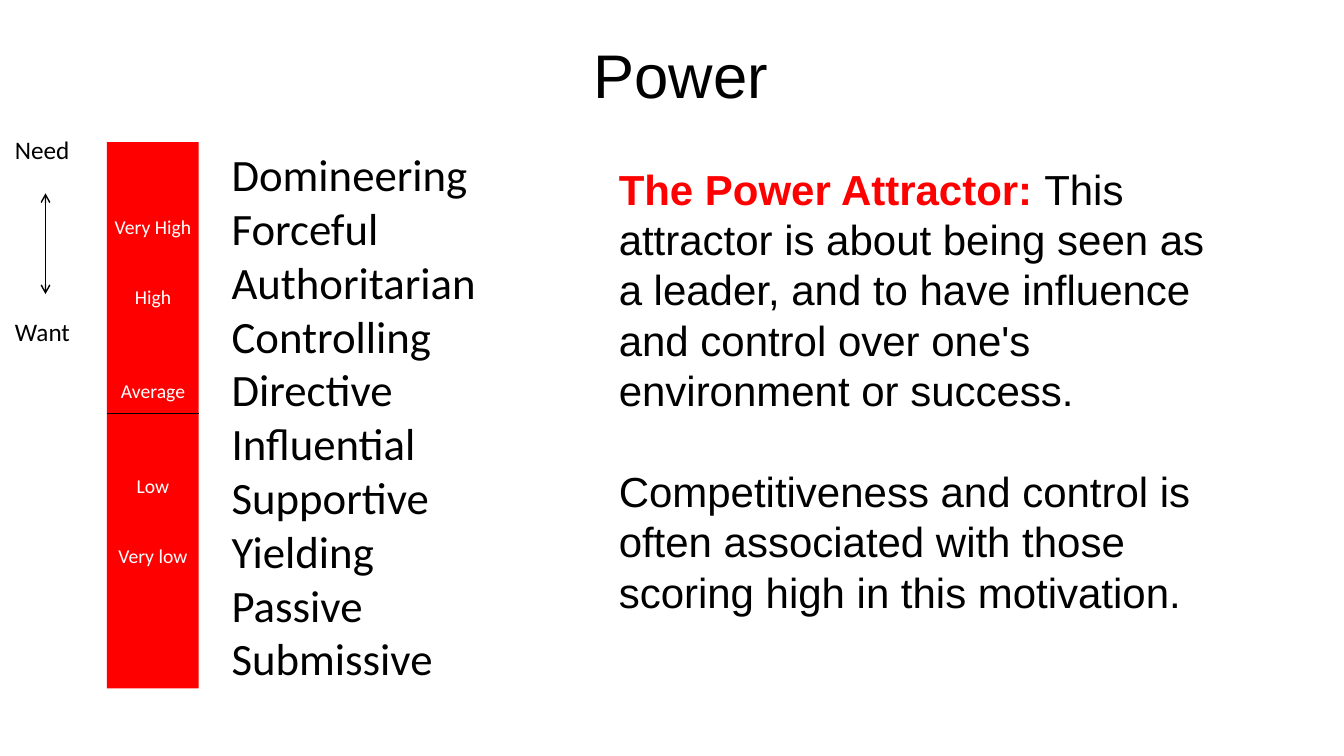
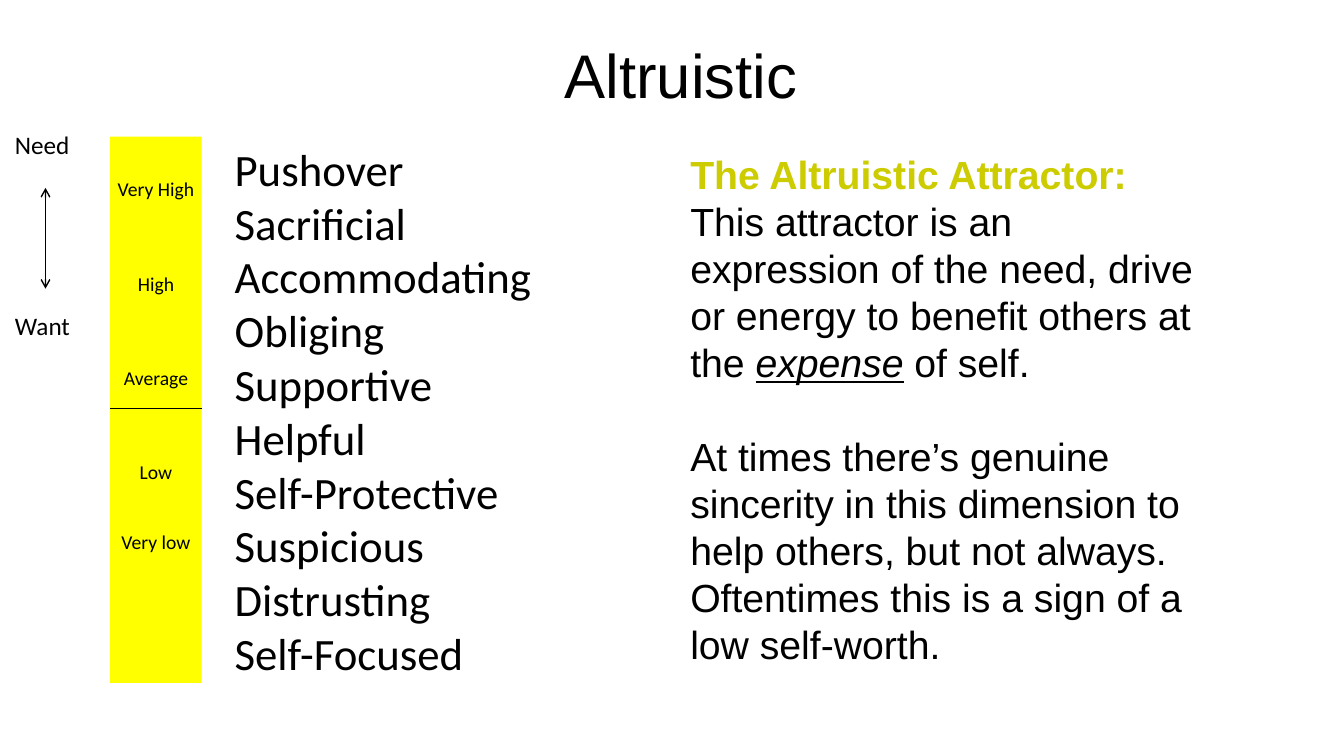
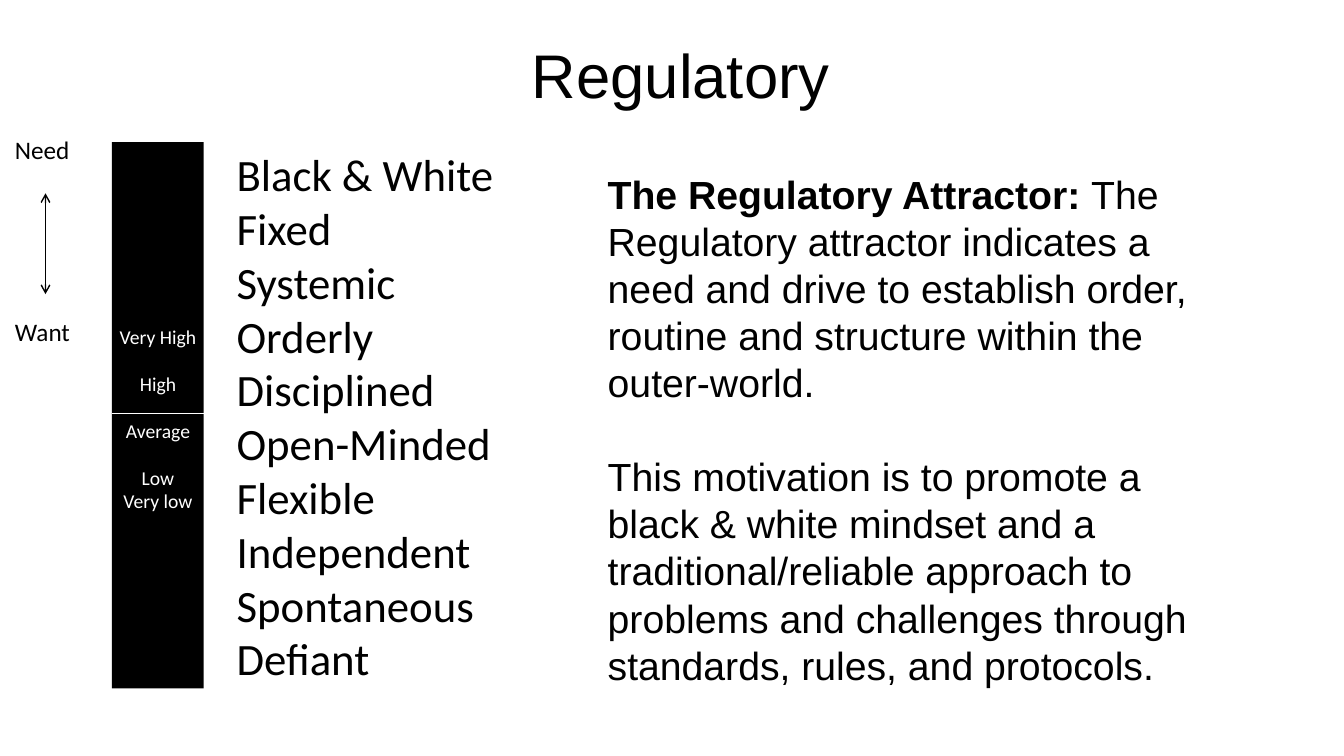
from lxml.etree import SubElement
from pptx import Presentation
from pptx.dml.color import RGBColor
from pptx.enum.shapes import MSO_CONNECTOR, MSO_SHAPE
from pptx.enum.text import MSO_AUTO_SIZE, PP_ALIGN
from pptx.oxml.ns import qn
from pptx.util import Pt

BLACK, WHITE, RED, YELLOW, OLIVE = "000000", "FFFFFF", "FF0000", "FFFF00", "CCCC00"
HEADING_FONT, LIST_FONT = "Arial", "Calibri"
LINE_RATIO = 1.2
TITLE_CENTER = 486.4
BAR_WIDTH, BAR_HEIGHT, MIDDLE = 65.5, 390.2, 194
LEVELS = ["Very High", "High", "Average", "Low", "Very low"]

MOTIVATIONS = [
    {
        "title": "Power", "title_width": 140.4,
        "bar": (76.3, 101.5), "bar_color": RED, "line_color": BLACK,
        "traits": ["Domineering", "Forceful", "Authoritarian", "Controlling", "Directive",
                   "Influential", "Supportive", "Yielding", "Passive", "Submissive"],
        "traits_width": 195.1,
        "level_color": WHITE, "level_top": 149.8, "level_gaps": [0, 2, 3, 3, 2],
        "body_box": (434.9, 113, 445, 334.1), "body_size": 30, "heading_color": RED,
        "body": [
            [("The Power Attractor: ", "heading"),
             ("This attractor is about being seen as a leader, and to have influence and "
              "control over one's environment or success.", "plain")],
            [("Competitiveness and control is often associated with those scoring high in "
              "this motivation.", "plain")],
        ],
    },
    {
        "title": "Altruistic", "title_width": 183.6,
        "bar": (78.5, 97.6), "bar_color": YELLOW, "line_color": BLACK,
        "traits": ["Pushover", "Sacrificial", "Accommodating", "Obliging", "Supportive",
                   "Helpful", "Self-Protective", "Suspicious", "Distrusting", "Self-Focused"],
        "traits_width": 229,
        "level_color": BLACK, "level_top": 123.1, "level_gaps": [0, 3, 3, 3, 2],
        "body_box": (486, 103.7, 383.8, 380.2), "body_size": 28, "heading_color": OLIVE,
        "body": [
            [("The Altruistic Attractor: ", "heading"),
             ("This attractor is an expression of the need, drive or energy to benefit "
              "others at the ", "plain"),
             ("expense", "stressed"),
             (" of self.", "plain")],
            [("At times there’s genuine sincerity in this dimension to help others, but not "
              "always. Oftentimes this is a sign of a low self-worth.", "plain")],
        ],
    },
    {
        "title": "Regulatory", "title_width": 229.7,
        "bar": (79.9, 101.5), "bar_color": BLACK, "line_color": WHITE,
        "traits": ["Black & White", "Fixed", "Systemic", "Orderly", "Disciplined",
                   "Open-Minded", "Flexible", "Independent", "Spontaneous", "Defiant"],
        "traits_width": 200.2,
        "level_color": WHITE, "level_top": 228.2, "level_gaps": [0, 1, 1, 1, 0],
        "body_box": (427, 118.1, 456.5, 380.2), "body_size": 28, "heading_color": BLACK,
        "body": [
            [("The Regulatory Attractor: ", "heading"),
             ("The Regulatory attractor indicates a need and drive to establish order, "
              "routine and structure within the outer-world.", "plain")],
            [("This motivation is to promote a black & white mindset and a "
              "traditional/reliable approach to problems and challenges through standards, "
              "rules, and protocols.", "plain")],
        ],
    },
]


def rgb(color):
    return RGBColor.from_string(color)


def add_text(slide, box, paragraphs, size, font=LIST_FONT, color=BLACK, heading_color=BLACK,
             align=PP_ALIGN.LEFT, gaps=None, wrap=False):
    frame = slide.shapes.add_textbox(*map(Pt, box)).text_frame
    frame.word_wrap = wrap
    frame.auto_size = MSO_AUTO_SIZE.SHAPE_TO_FIT_TEXT
    for index, runs in enumerate(paragraphs):
        paragraph = frame.add_paragraph() if index else frame.paragraphs[0]
        paragraph.alignment = align
        if gaps and gaps[index]:
            paragraph.space_before = Pt(round(gaps[index] * size * LINE_RATIO, 1))
        paragraph.font.size = Pt(size)
        paragraph.font.name = font
        paragraph.font.color.rgb = rgb(color)
        for text, style in [(runs, "plain")] if isinstance(runs, str) else runs:
            run = paragraph.add_run()
            run.text = text
            if style == "heading":
                run.font.bold = True
                run.font.color.rgb = rgb(heading_color)
            elif style == "stressed":
                run.font.italic = run.font.underline = True


def add_line(slide, start, end, color, arrows=False):
    line = slide.shapes.add_connector(MSO_CONNECTOR.STRAIGHT, *map(Pt, start + end))
    line.line.color.rgb = rgb(color)
    line.line.width = Pt(1)
    if arrows:
        outline = line.line._get_or_add_ln()
        for tag in ("a:headEnd", "a:tailEnd"):
            SubElement(outline, qn(tag), type="arrow")
    SubElement(line._element.spPr, qn("a:effectLst"))


def add_scale(slide, motivation):
    left, top = motivation["bar"]
    bar = slide.shapes.add_shape(MSO_SHAPE.RECTANGLE, Pt(left), Pt(top),
                                 Pt(BAR_WIDTH), Pt(BAR_HEIGHT))
    bar.shadow.inherit = False
    bar.fill.solid()
    bar.fill.fore_color.rgb = rgb(motivation["bar_color"])
    bar.line.fill.background()
    add_line(slide, (left, top + MIDDLE), (left + BAR_WIDTH, top + MIDDLE),
             motivation["line_color"])
    add_text(slide, (left + 82, top, motivation["traits_width"], 395.3),
             motivation["traits"], 32)
    gaps = motivation["level_gaps"]
    level_height = 7.2 + (len(LEVELS) + sum(gaps)) * 14 * LINE_RATIO
    add_text(slide, (left - 2.3, motivation["level_top"], 70.5, level_height), LEVELS, 14,
             color=motivation["level_color"], align=PP_ALIGN.CENTER, gaps=gaps)
    add_text(slide, (3.6, top - 8.8, 54.7, 159.8), ["Need", "Want"], 18, gaps=[0, 5])
    add_line(slide, (32.5, top + 36.6), (32.5, top + 108.6), BLACK, arrows=True)


def main():
    presentation = Presentation()
    presentation.slide_width, presentation.slide_height = Pt(960), Pt(540)
    for motivation in MOTIVATIONS:
        slide = presentation.slides.add_slide(presentation.slide_layouts[6])
        width = motivation["title_width"]
        add_text(slide, (TITLE_CENTER - width / 2, 23, width, 60.5), [motivation["title"]], 44,
                 font=HEADING_FONT, align=PP_ALIGN.CENTER)
        add_scale(slide, motivation)
        add_text(slide, motivation["body_box"], motivation["body"], motivation["body_size"],
                 font=HEADING_FONT, heading_color=motivation["heading_color"],
                 gaps=[0, 1], wrap=True)
    presentation.save("out.pptx")


if __name__ == "__main__":
    main()
